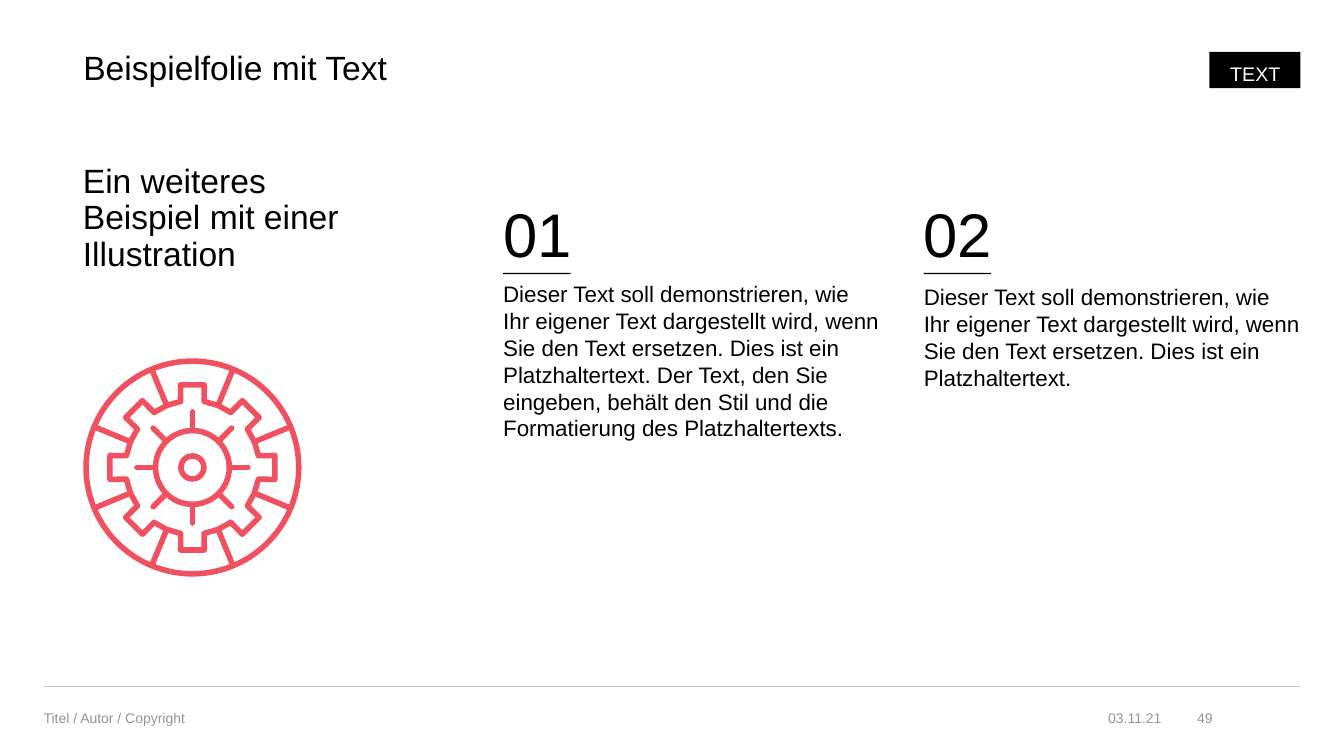
from math import cos, sin, radians, hypot, atan2, degrees

from lxml.etree import SubElement
from pptx import Presentation
from pptx.dml.color import RGBColor
from pptx.enum.shapes import MSO_CONNECTOR as Connector, MSO_SHAPE as Shape
from pptx.enum.text import MSO_ANCHOR as Anchor, MSO_AUTO_SIZE as AutoSize, PP_ALIGN as Align
from pptx.oxml.ns import qn
from pptx.util import Cm, Pt

BLACK, WHITE, GREY, RULE, CORAL = "000000", "FFFFFF", "949494", "C5C5C5", "F15060"
GEAR_X, GEAR_Y = 4.85, 11.78
STROKE = 0.14
HUB, RIM = 0.93, 2.68


def color(value):
    return RGBColor.from_string(value)


def place(shape, left, top, width, height):
    shape.left, shape.top, shape.width, shape.height = map(Cm, (left, top, width, height))


def write(shape, lines, size, ink=BLACK, align=Align.LEFT, anchor=Anchor.TOP,
          spacing=1.0, insets=(0, 0), wrap=True):
    frame = shape.text_frame
    frame.auto_size = AutoSize.NONE
    frame.word_wrap = wrap
    frame.vertical_anchor = anchor
    frame.margin_left = frame.margin_right = Cm(insets[0])
    frame.margin_top = frame.margin_bottom = Cm(insets[1])
    paragraph = frame.paragraphs[0]
    paragraph.alignment = align
    paragraph.line_spacing = spacing
    paragraph.space_before = Pt(0)
    for index, line in enumerate(lines):
        if index:
            paragraph.add_line_break()
        run = paragraph.add_run()
        run.text = line
        run.font.name = "Arial"
        run.font.size = Pt(size)
        run.font.color.rgb = color(ink)


def add_label(slide, box, lines, size, **style):
    label = slide.shapes.add_textbox(*map(Cm, box))
    write(label, lines, size, **style)


def add_bar(slide, box):
    bar = slide.shapes.add_shape(Shape.RECTANGLE, *map(Cm, box))
    bar.shadow.inherit = False
    bar.fill.solid()
    bar.fill.fore_color.rgb = color(BLACK)
    bar.line.fill.background()
    return bar


def add_line(slide, start, end, ink, width):
    line = slide.shapes.add_connector(Connector.STRAIGHT, *map(Cm, (*start, *end)))
    line.line.color.rgb = color(ink)
    line.line.width = width
    SubElement(line._element.spPr, qn("a:effectLst"))


def fill_body(body, box, text):
    place(body, *box)
    properties = body.text_frame.paragraphs[0]._p.get_or_add_pPr()
    properties.set("marL", "0")
    properties.set("indent", "0")
    SubElement(properties, qn("a:buNone"))
    write(body, [text], 16)


def add_number(slide, left, number):
    add_label(slide, (left, 4.14, 9.47, 2.69), [number], 44, anchor=Anchor.BOTTOM, spacing=0.9)
    add_bar(slide, (left, 6.88, 1.7, 0.03))


def gear_point(radius, angle):
    return (Cm(GEAR_X + radius * cos(radians(angle))),
            Cm(GEAR_Y + radius * sin(radians(angle))))


def outline(shape):
    shape.shadow.inherit = False
    shape.fill.background()
    shape.line.color.rgb = color(CORAL)
    shape.line.width = Cm(STROKE)


def add_ring(shapes, radius):
    ring = shapes.add_shape(Shape.OVAL, Cm(GEAR_X - radius), Cm(GEAR_Y - radius),
                            Cm(2 * radius), Cm(2 * radius))
    outline(ring)


def add_spokes(shapes, inner, outer, first_angle, cap):
    builder = shapes.build_freeform(*gear_point(inner, first_angle))
    for step in range(8):
        angle = first_angle + 45 * step
        if step:
            builder.move_to(*gear_point(inner, angle))
        builder.add_line_segments([gear_point(outer, angle)], close=False)
    spokes = builder.convert_to_shape()
    outline(spokes)
    spokes.line._get_or_add_ln().set("cap", cap)


def add_cogwheel(shapes, half_tooth=0.3, base=1.69, tip=2.08):
    base_turn = degrees(atan2(half_tooth, base))
    tip_turn = degrees(atan2(half_tooth, tip))
    tip_radius = hypot(half_tooth, tip)
    valley = (45 - 2 * base_turn) / 2
    points = []
    for tooth in range(0, 360, 45):
        points += [gear_point(tip_radius, tooth - tip_turn),
                   gear_point(tip_radius, tooth + tip_turn)]
        points += [gear_point(base, tooth + base_turn + valley * step) for step in range(3)]
    builder = shapes.build_freeform(*points[0])
    builder.add_line_segments(points[1:], close=True)
    outline(builder.convert_to_shape())


def add_gear(slide):
    shapes = slide.shapes.add_group_shape().shapes
    for radius in (0.29, HUB, RIM):
        add_ring(shapes, radius)
    add_spokes(shapes, HUB, 1.4, 0, "rnd")
    add_spokes(shapes, 1.75, RIM, 22.5, "flat")
    add_cogwheel(shapes)


def add_footer(slide):
    add_line(slide, (1.1, 17.3), (32.77, 17.3), RULE, Pt(0.5))
    for left, width, text, align in (
        (1.1, 15.42, "Titel / Autor / Copyright", Align.LEFT),
        (27.37, 1.9, "03.11.21", Align.RIGHT),
        (29.77, 0.79, "49", Align.RIGHT),
    ):
        add_label(slide, (left, 17.59, width, 0.99), [text], 10,
                  ink=GREY, align=align, anchor=Anchor.MIDDLE)


def main():
    deck = Presentation()
    deck.slide_width, deck.slide_height = Cm(33.87), Cm(19.05)
    slide = deck.slides.add_slide(deck.slide_layouts[3])
    title, first_body, second_body = slide.placeholders

    add_footer(slide)
    place(title, 2.1, 1.3, 30.66, 0.91)
    write(title, ["Beispielfolie mit Text"], 24, spacing=0.9)
    add_label(slide, (2.09, 4.2, 9.5, 2.69),
              ["Ein weiteres", "Beispiel mit einer", "Illustration"], 24,
              anchor=Anchor.BOTTOM, spacing=0.9)

    sample = ("Dieser Text soll demonstrieren, wie Ihr eigener Text dargestellt wird, "
              "wenn Sie den Text ersetzen. Dies ist ein Platzhaltertext.")
    more = " Der Text, den Sie eingeben, behält den Stil und die Formatierung des Platzhaltertexts."
    for body, left, top, height, number, text in (
        (first_body, 12.68, 7.06, 8.64, "01", sample + more),
        (second_body, 23.28, 7.14, 8.59, "02", sample),
    ):
        fill_body(body, (left, top, 9.5, height), text)
        add_number(slide, left, number)

    add_gear(slide)
    tag = add_bar(slide, (30.48, 1.31, 2.29, 0.91))
    write(tag, ["TEXT"], 14, ink=WHITE, align=Align.RIGHT, spacing=1.2,
          insets=(0.5, 0.13), wrap=False)
    deck.save("out.pptx")


if __name__ == "__main__":
    main()
